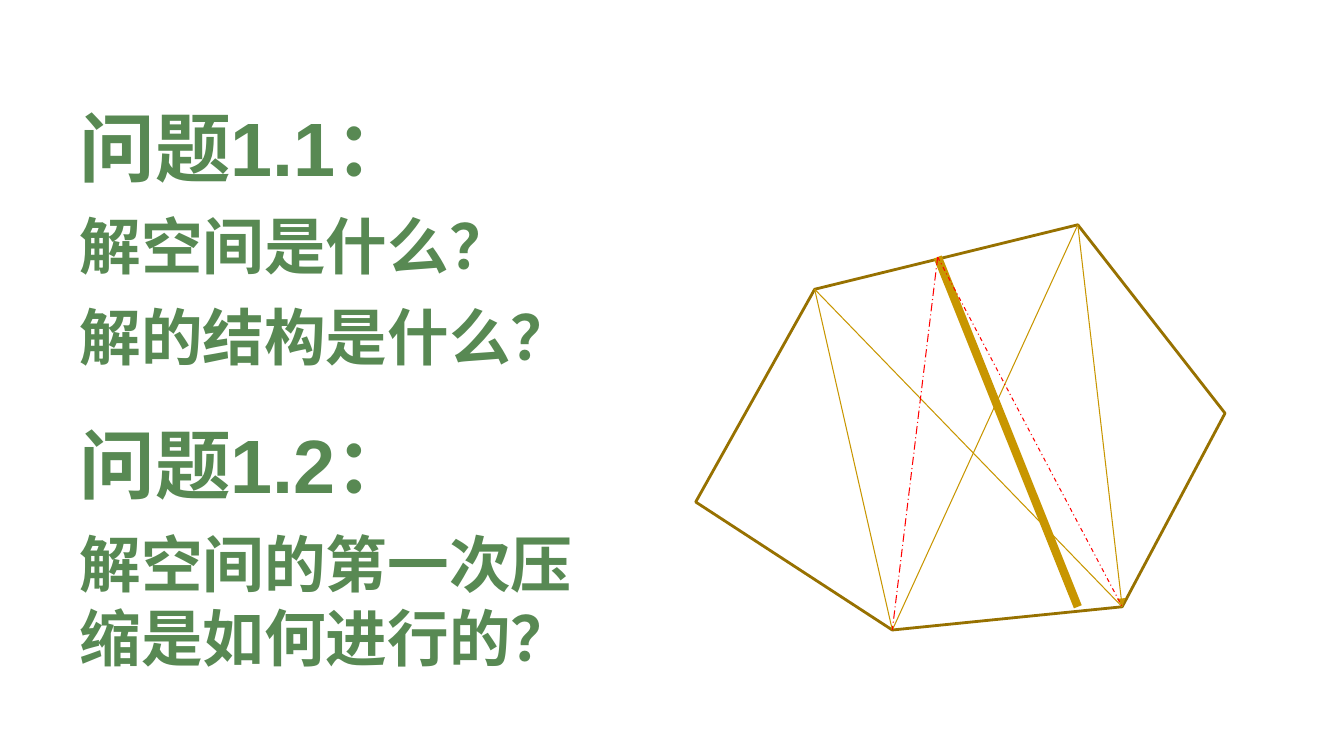
from lxml.etree import SubElement
from pptx import Presentation
from pptx.dml.color import RGBColor
from pptx.enum.dml import MSO_LINE_DASH_STYLE as Dash
from pptx.enum.shapes import MSO_CONNECTOR as Connector
from pptx.enum.text import MSO_AUTO_SIZE as AutoSize
from pptx.oxml.ns import qn
from pptx.util import Inches, Pt

WHITE = RGBColor(0xFF, 0xFF, 0xFF)
BROWN = RGBColor(0x97, 0x71, 0x00)
GOLD = RGBColor(0xC8, 0x96, 0x00)
RED = RGBColor(0xFF, 0x00, 0x00)
GREEN = RGBColor(0x58, 0x89, 0x53)

UPPER_LEFT = (8.08, 2.87)
TOP = (10.69, 2.23)
RIGHT = (12.15, 4.1)
LOWER_RIGHT = (11.13, 6.02)
BOTTOM = (8.85, 6.25)
LEFT = (6.9, 4.98)
EDGE_POINT = (9.3, 2.55)
CUT_END = (10.69, 6.02)


class SlideBuilder:
    font_name = "Arial"
    heading_size = Pt(54)
    question_size = Pt(44)
    thin = 0.75

    def __init__(self, slide):
        self.slide = slide

    def polygon(self, corners, fill, color, width):
        points = [(Inches(x), Inches(y)) for x, y in corners]
        builder = self.slide.shapes.build_freeform(*points[0], scale=1.0)
        builder.add_line_segments(points[1:], close=True)
        shape = builder.convert_to_shape()
        shape.shadow.inherit = False
        shape.fill.solid()
        shape.fill.fore_color.rgb = fill
        shape.line.color.rgb = color
        shape.line.width = Pt(width)

    def line(self, start, end, color, width=thin, dash=None, arrow=False):
        connector = self.slide.shapes.add_connector(
            Connector.STRAIGHT, *map(Inches, start + end))
        connector.line.color.rgb = color
        connector.line.width = Pt(width)
        if dash:
            connector.line.dash_style = dash
        properties = connector._element.spPr
        if arrow:
            SubElement(properties.find(qn("a:ln")), qn("a:tailEnd"), type="triangle")
        SubElement(properties, qn("a:effectLst"))

    def question_box(self, top, height, heading, questions):
        box = self.slide.shapes.add_textbox(
            Inches(0.69), Inches(top), Inches(5.2), Inches(height))
        frame = box.text_frame
        frame.word_wrap = True
        frame.auto_size = AutoSize.SHAPE_TO_FIT_TEXT
        self.fill_paragraph(frame.paragraphs[0], heading, self.heading_size)
        for question in questions:
            paragraph = frame.add_paragraph()
            paragraph.space_before = Pt(12)
            self.fill_paragraph(paragraph, question, self.question_size)

    def fill_paragraph(self, paragraph, text, size):
        paragraph.text = text
        paragraph.font.name = self.font_name
        paragraph.font.size = size
        paragraph.font.bold = True
        paragraph.font.color.rgb = GREEN


def main():
    presentation = Presentation()
    presentation.slide_width = Inches(13.33)
    presentation.slide_height = Inches(7.5)
    slide = presentation.slides.add_slide(presentation.slide_layouts[6])
    builder = SlideBuilder(slide)

    builder.polygon([UPPER_LEFT, TOP, RIGHT, LOWER_RIGHT, BOTTOM, LEFT], WHITE, BROWN, 2)
    builder.line(UPPER_LEFT, BOTTOM, GOLD)
    builder.line(TOP, BOTTOM, GOLD)
    builder.line(TOP, LOWER_RIGHT, GOLD, arrow=True)
    builder.line(UPPER_LEFT, LOWER_RIGHT, GOLD)
    builder.line(EDGE_POINT, CUT_END, GOLD, width=6)
    builder.line(EDGE_POINT, BOTTOM, RED, dash=Dash.LONG_DASH_DOT)
    builder.line(EDGE_POINT, LOWER_RIGHT, RED, dash=Dash.DASH_DOT)

    builder.question_box(0.95, 2.83, "问题1.1：", ["解空间是什么？", "解的结构是什么？"])
    builder.question_box(4.1, 2.66, "问题1.2：", ["解空间的第一次压缩是如何进行的？"])

    presentation.save("out.pptx")


if __name__ == "__main__":
    main()
